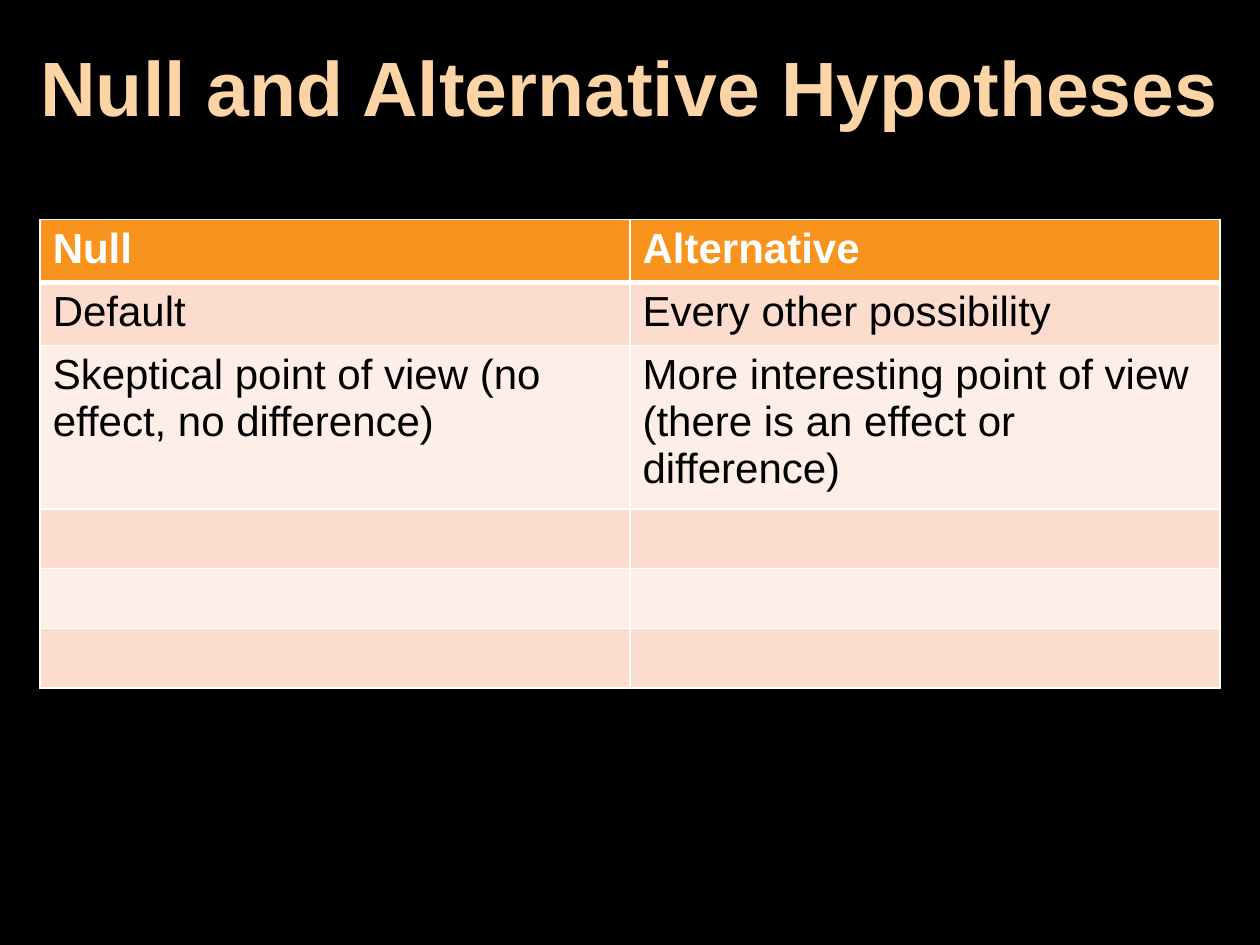
from dataclasses import dataclass

from lxml import etree
from pptx import Presentation
from pptx.dml.color import RGBColor
from pptx.enum.text import MSO_ANCHOR, PP_ALIGN
from pptx.oxml.ns import qn
from pptx.util import Cm, Pt

CENTER = PP_ALIGN.CENTER
MIDDLE = MSO_ANCHOR.MIDDLE


@dataclass(frozen=True)
class Theme:
    font: str = "Arial"
    background: str = "000000"
    title: str = "FCD4A5"
    header: str = "F8931D"
    header_text: str = "FFFFFF"
    bands: tuple[str, str] = ("FCDCCD", "FEEEE8")
    body_text: str = "000000"
    border: str = "FFFFFF"
    title_size: int = 44
    table_size: int = 24
    thin: int = 1
    thick: int = 3


@dataclass(frozen=True)
class Row:
    null: str = ""
    alternative: str = ""
    height: float = 1.2


THEME = Theme()
ROWS = [
    Row("Null", "Alternative"),
    Row("Default", "Every other possibility"),
    Row("Skeptical point of view (no effect, no difference)",
        "More interesting point of view (there is an effect or difference)", 3.09),
    Row(),
    Row(),
    Row(),
]


def add_run(p, text: str, size: int, color: str, bold: bool) -> None:
    r = p.add_run()
    r.text = text
    r.font.name = THEME.font
    r.font.size = Pt(size)
    r.font.bold = bold
    r.font.color.rgb = RGBColor.from_string(color)


def add_title(s, text: str) -> None:
    sp = s.shapes.add_textbox(0, 0, Cm(25.4), Cm(3.68))
    tf = sp.text_frame
    tf.word_wrap = True
    tf.vertical_anchor = MIDDLE
    p = tf.paragraphs[0]
    p.alignment = CENTER
    p.line_spacing = 0.9
    add_run(p, text, THEME.title_size, THEME.title, True)


def set_borders(cell, top: int, bottom: int) -> None:
    tc_pr = cell._tc.get_or_add_tcPr()
    widths = {"L": THEME.thin, "R": THEME.thin, "T": top, "B": bottom}
    for side, width in widths.items():
        ln = etree.SubElement(tc_pr, qn(f"a:ln{side}"), w=str(Pt(width)))
        fill = etree.SubElement(ln, qn("a:solidFill"))
        etree.SubElement(fill, qn("a:srgbClr"), val=THEME.border)


def fill_cell(cell, text: str, row: int) -> None:
    header = row == 0
    set_borders(cell, THEME.thick if row == 1 else THEME.thin,
                THEME.thick if header else THEME.thin)
    cell.fill.solid()
    color = THEME.header if header else THEME.bands[(row - 1) % 2]
    cell.fill.fore_color.rgb = RGBColor.from_string(color)
    if text:
        add_run(cell.text_frame.paragraphs[0], text, THEME.table_size,
                THEME.header_text if header else THEME.body_text, header)


def add_hypotheses(s, rows: list[Row]) -> None:
    height = Cm(sum(row.height for row in rows))
    table = s.shapes.add_table(len(rows), 2, Cm(0.81), Cm(4.42), Cm(23.78), height).table
    for i, row in enumerate(rows):
        table.rows[i].height = Cm(row.height)
        for j, text in enumerate((row.null, row.alternative)):
            fill_cell(table.cell(i, j), text, i)


def main() -> None:
    """Build the slide comparing null and alternative hypotheses."""
    prs = Presentation()
    prs.slide_width, prs.slide_height = Cm(25.4), Cm(19.05)
    s = prs.slides.add_slide(prs.slide_layouts[6])
    s.background.fill.solid()
    s.background.fill.fore_color.rgb = RGBColor.from_string(THEME.background)
    add_title(s, "Null and Alternative Hypotheses")
    add_hypotheses(s, ROWS)
    prs.save("out.pptx")


if __name__ == "__main__":
    main()
